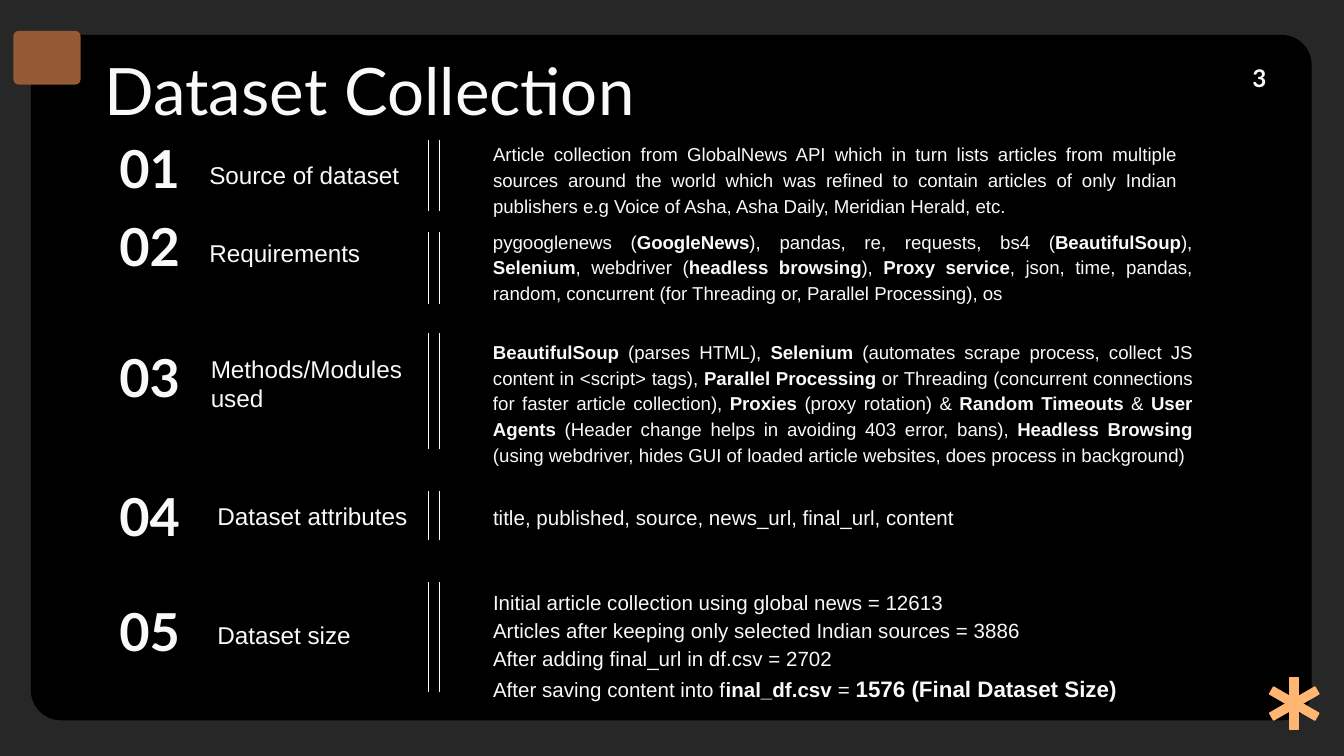
from dataclasses import dataclass
from typing import NamedTuple

from lxml import etree
from pptx import Presentation
from pptx import util as u
from pptx.dml.color import RGBColor
from pptx.enum import shapes, text
from pptx.oxml import ns


@dataclass(frozen=True)
class Theme:
    backdrop: str = "272727"
    panel: str = "000000"
    tab: str = "945937"
    star: str = "FFB673"
    ink: str = "F9F9F9"
    heading_font: str = "Lato"
    body_font: str = "Arial"
    title_size: int = 35
    number_size: int = 28
    label_size: int = 13
    body_size: int = 11
    dense_size: int = 10
    result_size: int = 12


THEME = Theme()


class Box(NamedTuple):
    left: float
    top: float
    width: float
    height: float


class Span(NamedTuple):
    text: str
    bold: bool = False
    size: int | None = None


@dataclass(frozen=True)
class Topic:
    number_top: float
    label: str
    label_box: Box
    rule_top: float
    rule_bottom: float
    body_box: Box
    body: list[list[Span]]
    size: int = THEME.body_size
    justified: bool = False


def marked(source: str) -> list[Span]:
    return [Span(part, index % 2 == 1)
            for index, part in enumerate(source.split("**")) if part]


TOPICS = [
    Topic(0.92, "Source of dataset", Box(1.46, 0.98, 1.74, 0.53), 1.04, 1.57,
          Box(3.57, 0.94, 5.28, 0.76),
          [marked("Article collection from GlobalNews API which in turn lists articles "
                  "from multiple sources around the world which was refined to contain "
                  "articles of only Indian publishers e.g Voice of Asha, Asha Daily, "
                  "Meridian Herald, etc.")],
          THEME.dense_size, True),
    Topic(1.5, "Requirements", Box(1.46, 1.56, 1.74, 0.53), 1.73, 2.26,
          Box(3.57, 1.59, 5.4, 0.76),
          [marked("pygooglenews (**GoogleNews**), pandas, re, requests, bs4 "
                  "(**BeautifulSoup**), **Selenium**, webdriver (**headless browsing**), "
                  "**Proxy service**, json, time, pandas, random, concurrent "
                  "(for Threading or, Parallel Processing), os")],
          THEME.dense_size, True),
    Topic(2.48, "Methods/Modules used", Box(1.47, 2.79, 1.83, 0.38), 2.48, 3.34,
          Box(3.57, 2.41, 5.4, 1.14),
          [marked("**BeautifulSoup** (parses HTML), **Selenium** (automates scrape "
                  "process, collect JS content in <script> tags), **Parallel Processing** "
                  "or Threading (concurrent connections for faster article collection), "
                  "**Proxies** (proxy rotation) & **Random Timeouts** & **User Agents** "
                  "(Header change helps in avoiding 403 error, bans), "
                  "**Headless Browsing** (using webdriver, hides GUI of loaded article "
                  "websites, does process in background)")],
          THEME.dense_size, True),
    Topic(3.51, "Dataset attributes", Box(1.52, 3.62, 2.2, 0.43), 3.65, 4.02,
          Box(3.57, 3.63, 4.45, 0.39),
          [marked("title, published, source, news_url, final_url, content")]),
    Topic(4.37, "Dataset size", Box(1.52, 4.4, 1.74, 0.53), 4.33, 5.15,
          Box(3.57, 4.26, 6.99, 1.04),
          [marked("Initial article collection using global news = 12613"),
           marked("Articles after keeping only selected Indian sources = 3886"),
           marked("After adding final_url in df.csv = 2702"),
           marked("After saving content into f**inal_df.csv** = ")
           + [Span("1576 (Final Dataset Size)", True, THEME.result_size)]]),
]


def place(box: Box) -> list[u.Length]:
    return [u.Inches(value) for value in box]


def add_block(slide, kind, box: Box, color: str, *, corner: float | None = None,
              outlined: bool = False, rotation: float = 0) -> None:
    shape = slide.shapes.add_shape(kind, *place(box))
    shape.shadow.inherit = False
    shape.fill.solid()
    shape.fill.fore_color.rgb = RGBColor.from_string(color)
    if outlined:
        shape.line.color.rgb = RGBColor.from_string(color)
        shape.line.width = u.Pt(0.75)
    else:
        shape.line.fill.background()
    if corner is not None:
        shape.adjustments[0] = corner
    shape.rotation = rotation


def add_text(slide, box: Box, lines: list[list[Span]], *, size: int,
             font: str = THEME.body_font, anchor=text.MSO_ANCHOR.TOP,
             align=text.PP_ALIGN.LEFT, spacing: float = 1.0) -> None:
    frame = slide.shapes.add_textbox(*place(box)).text_frame
    frame.word_wrap = True
    frame.vertical_anchor = anchor
    frame.margin_left = frame.margin_right = u.Inches(0.1)
    frame.margin_top = frame.margin_bottom = u.Inches(0.1)
    for index, line in enumerate(lines):
        para = frame.add_paragraph() if index else frame.paragraphs[0]
        para.alignment = align
        para.line_spacing = spacing
        for span in line:
            run = para.add_run()
            run.text = span.text
            run.font.name = font
            run.font.size = u.Pt(span.size or size)
            run.font.bold = span.bold
            run.font.color.rgb = RGBColor.from_string(THEME.ink)


def add_double_rule(slide, top: float, bottom: float) -> None:
    for left in (3.19, 3.27):
        rule = slide.shapes.add_connector(
            shapes.MSO_CONNECTOR.STRAIGHT,
            u.Inches(left), u.Inches(bottom), u.Inches(left), u.Inches(top))
        rule.line.color.rgb = RGBColor.from_string(THEME.ink)
        rule.line.width = u.Pt(0.75)
        etree.SubElement(rule._element.spPr, ns.qn("a:effectLst"))


def add_topic(slide, number: int, topic: Topic) -> None:
    add_text(slide, Box(0.79, topic.number_top, 0.8, 0.65),
             [[Span(f"{number:02}", True)]], size=THEME.number_size,
             font=THEME.heading_font, anchor=text.MSO_ANCHOR.MIDDLE)
    add_text(slide, topic.label_box, [[Span(topic.label)]], size=THEME.label_size,
             anchor=text.MSO_ANCHOR.BOTTOM)
    add_double_rule(slide, topic.rule_top, topic.rule_bottom)
    align = text.PP_ALIGN.JUSTIFY if topic.justified else text.PP_ALIGN.LEFT
    add_text(slide, topic.body_box, topic.body, size=topic.size, align=align,
             spacing=1.15)


def main() -> None:
    deck = Presentation()
    deck.slide_width, deck.slide_height = u.Inches(10), u.Inches(10 * 9 / 16)
    slide = deck.slides.add_slide(deck.slide_layouts[6])
    slide.background.fill.solid()
    slide.background.fill.fore_color.rgb = RGBColor.from_string(THEME.backdrop)

    rounded = shapes.MSO_SHAPE.ROUNDED_RECTANGLE
    add_block(slide, rounded, Box(0.23, 0.26, 9.53, 5.1), THEME.panel, corner=0.044)
    add_block(slide, rounded, Box(0.1, 0.23, 0.5, 0.4), THEME.tab, corner=0.1)
    for rotation in (0, 300, 60):
        add_block(slide, shapes.MSO_SHAPE.RECTANGLE, Box(9.6, 5.04, 0.06, 0.39),
                  THEME.star, outlined=True, rotation=rotation)

    add_text(slide, Box(0.68, 0.27, 8.43, 0.63), [[Span("Dataset Collection")]],
             size=THEME.title_size, font=THEME.heading_font)
    add_text(slide, Box(9.22, 0.37, 0.6, 0.43), [[Span("3", True)]],
             size=THEME.label_size, font=THEME.heading_font)
    for number, topic in enumerate(TOPICS, 1):
        add_topic(slide, number, topic)
    deck.save("out.pptx")


if __name__ == "__main__":
    main()
